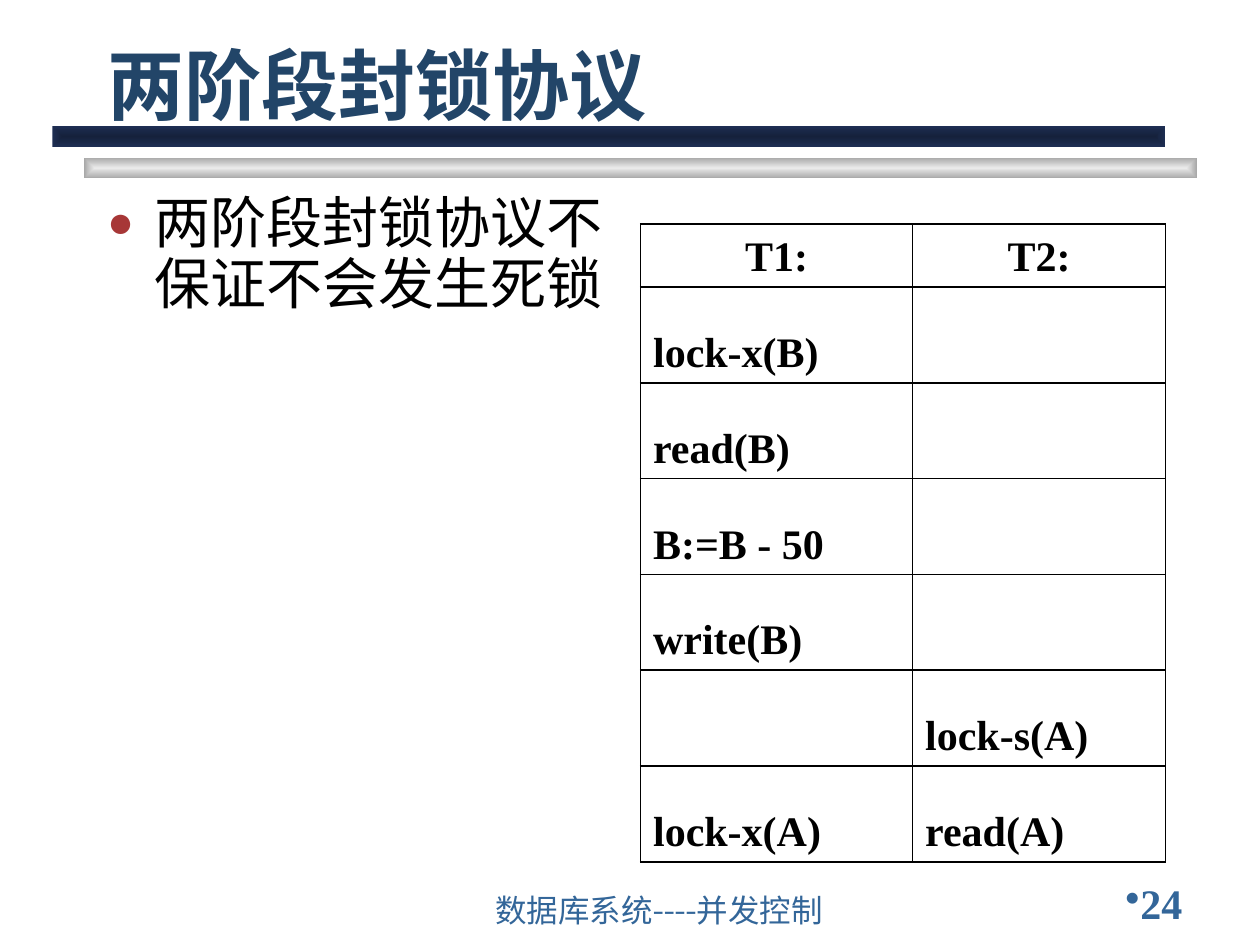
"""Build the slide on two-phase locking and deadlock."""

from dataclasses import dataclass
from typing import Any, Optional

import lxml.etree
import pptx
import pptx.dml.color
import pptx.enum.shapes
import pptx.enum.text
import pptx.oxml.ns
import pptx.util

Pt = pptx.util.Pt
ALIGN = pptx.enum.text.PP_ALIGN
ANCHOR = pptx.enum.text.MSO_ANCHOR

COLORS = {
    "navy_inner": "15213B",
    "navy_outer": "1E2E53",
    "silver_inner": "EAEAEA",
    "silver_outer": "A7A7A7",
    "title": "224568",
    "footer": "336699",
    "bullet": "A73737",
    "black": "000000",
}
HANGING = 27
COLUMN_WIDTHS = (155.5, 144.5)
HEADER_HEIGHT, ROW_HEIGHT = 36, 54.75
SCHEDULE = (
    ("T1:", "T2:"),
    ("lock-x(B)", ""),
    ("read(B)", ""),
    ("B:=B - 50", ""),
    ("write(B)", ""),
    ("", "lock-s(A)"),
    ("lock-x(A)", "read(A)"),
)


@dataclass(frozen=True)
class Box:
    left: float
    top: float
    width: float
    height: float

    def lengths(self) -> tuple:
        return Pt(self.left), Pt(self.top), Pt(self.width), Pt(self.height)


@dataclass(frozen=True)
class Bar:
    box: Box
    inner: str
    outer: str


@dataclass(frozen=True)
class TextStyle:
    font: str
    size: float
    color: str
    bold: bool = False


BARS = (
    Bar(Box(48, 90, 636, 12), "silver_inner", "silver_outer"),
    Bar(Box(30, 72, 636, 12), "navy_inner", "navy_outer"),
)
CELL_STYLE = TextStyle("Times New Roman", 24, "black", True)


def rgb(name: str) -> pptx.dml.color.RGBColor:
    return pptx.dml.color.RGBColor.from_string(COLORS[name])


def add_element(parent: Any, tag: str, **attributes: str) -> Any:
    element = lxml.etree.SubElement(parent, pptx.oxml.ns.qn(tag))
    for name, value in attributes.items():
        element.set(name, value)
    return element


def style_paragraph(paragraph: Any, style: TextStyle) -> None:
    font = paragraph.font
    font.name, font.size, font.bold = style.font, Pt(style.size), style.bold
    font.color.rgb = rgb(style.color)


def set_hanging(paragraph: Any) -> None:
    properties = paragraph._p.get_or_add_pPr()
    properties.set("marL", str(Pt(HANGING)))
    properties.set("indent", str(-Pt(HANGING)))


def add_bullet(paragraph: Any, character: str, color: Optional[str] = None, percent: int = 100) -> None:
    properties = paragraph._p.get_or_add_pPr()
    if color:
        add_element(add_element(properties, "a:buClr"), "a:srgbClr", val=COLORS[color])
    add_element(properties, "a:buSzPct", val=str(percent * 1000))
    add_element(properties, "a:buChar", char=character)


def draw_bar(slide: Any, bar: Bar) -> None:
    shape = slide.shapes.add_shape(pptx.enum.shapes.MSO_SHAPE.RECTANGLE, *bar.box.lengths())
    shape.shadow.inherit = False
    shape.line.fill.background()
    shape.fill.gradient()
    for stop, position, color in zip(shape.fill.gradient_stops, (0, 1), (bar.inner, bar.outer)):
        stop.position = position
        stop.color.rgb = rgb(color)
    gradient = shape._element.spPr.find(pptx.oxml.ns.qn("a:gradFill"))
    gradient.remove(gradient.find(pptx.oxml.ns.qn("a:lin")))
    center = add_element(gradient, "a:path", path="shape")
    add_element(center, "a:fillToRect", l="50000", t="50000", r="50000", b="50000")


def fill_text(shape: Any, box: Box, text: str, anchor: Any) -> Any:
    shape.left, shape.top, shape.width, shape.height = box.lengths()
    frame = shape.text_frame
    frame.text = text
    frame.word_wrap = True
    frame.auto_size = pptx.enum.text.MSO_AUTO_SIZE.NONE
    frame.vertical_anchor = anchor
    paragraph = frame.paragraphs[0]
    paragraph.alignment = ALIGN.LEFT
    paragraph.space_before = Pt(0)
    return paragraph


def draw_label(slide: Any, box: Box, text: str, anchor: Any, style: TextStyle, bullet: str = "") -> None:
    paragraph = fill_text(slide.shapes.add_textbox(*box.lengths()), box, text, anchor)
    if bullet:
        add_bullet(paragraph, bullet)
    style_paragraph(paragraph, style)


def draw_cell(cell: Any, text: str, alignment: Any) -> None:
    cell.text = text
    cell.vertical_anchor = ANCHOR.BOTTOM
    paragraph = cell.text_frame.paragraphs[0]
    paragraph.alignment = alignment
    set_hanging(paragraph)
    style_paragraph(paragraph, CELL_STYLE)
    properties = cell._tc.get_or_add_tcPr()
    for side in ("a:lnL", "a:lnR", "a:lnT", "a:lnB"):
        border = add_element(properties, side, w=str(Pt(1)))
        add_element(add_element(border, "a:solidFill"), "a:srgbClr", val=COLORS["black"])
    cell.fill.background()


def draw_schedule(slide: Any, left: float, top: float) -> None:
    heights = [HEADER_HEIGHT] + [ROW_HEIGHT] * (len(SCHEDULE) - 1)
    box = Box(left, top, sum(COLUMN_WIDTHS), sum(heights))
    table = slide.shapes.add_table(len(SCHEDULE), len(COLUMN_WIDTHS), *box.lengths()).table
    table.first_row = table.horz_banding = False
    for column, width in zip(table.columns, COLUMN_WIDTHS):
        column.width = Pt(width)
    for index, (row, height, texts) in enumerate(zip(table.rows, heights, SCHEDULE)):
        row.height = Pt(height)
        for cell, text in zip(row.cells, texts):
            draw_cell(cell, text, ALIGN.LEFT if index else ALIGN.CENTER)


def main() -> None:
    presentation = pptx.Presentation()
    presentation.slide_width, presentation.slide_height = Pt(720), Pt(540)
    slide = presentation.slides.add_slide(presentation.slide_layouts[1])
    for bar in BARS:
        draw_bar(slide, bar)

    draw_label(slide, Box(636, 504, 78, 24), "24", ANCHOR.MIDDLE,
               TextStyle("Times New Roman", 24, "footer", True), "•")
    draw_label(slide, Box(276, 510, 294, 24), "数据库系统----并发控制", ANCHOR.BOTTOM,
               TextStyle("Karla", 18, "footer"))

    title = fill_text(slide.shapes.title, Box(54, 12, 612, 66), "两阶段封锁协议", ANCHOR.BOTTOM)
    style_paragraph(title, TextStyle("Arial", 44, "title", True))

    body = fill_text(slide.placeholders[1], Box(54, 108, 300, 384),
                     "两阶段封锁协议不保证不会发生死锁", ANCHOR.TOP)
    body.line_spacing = 0.9
    set_hanging(body)
    add_bullet(body, "●", "bullet", 80)
    style_paragraph(body, TextStyle("Arial", 32, "black"))

    draw_schedule(slide, 366, 128)
    presentation.save("out.pptx")


if __name__ == "__main__":
    main()
